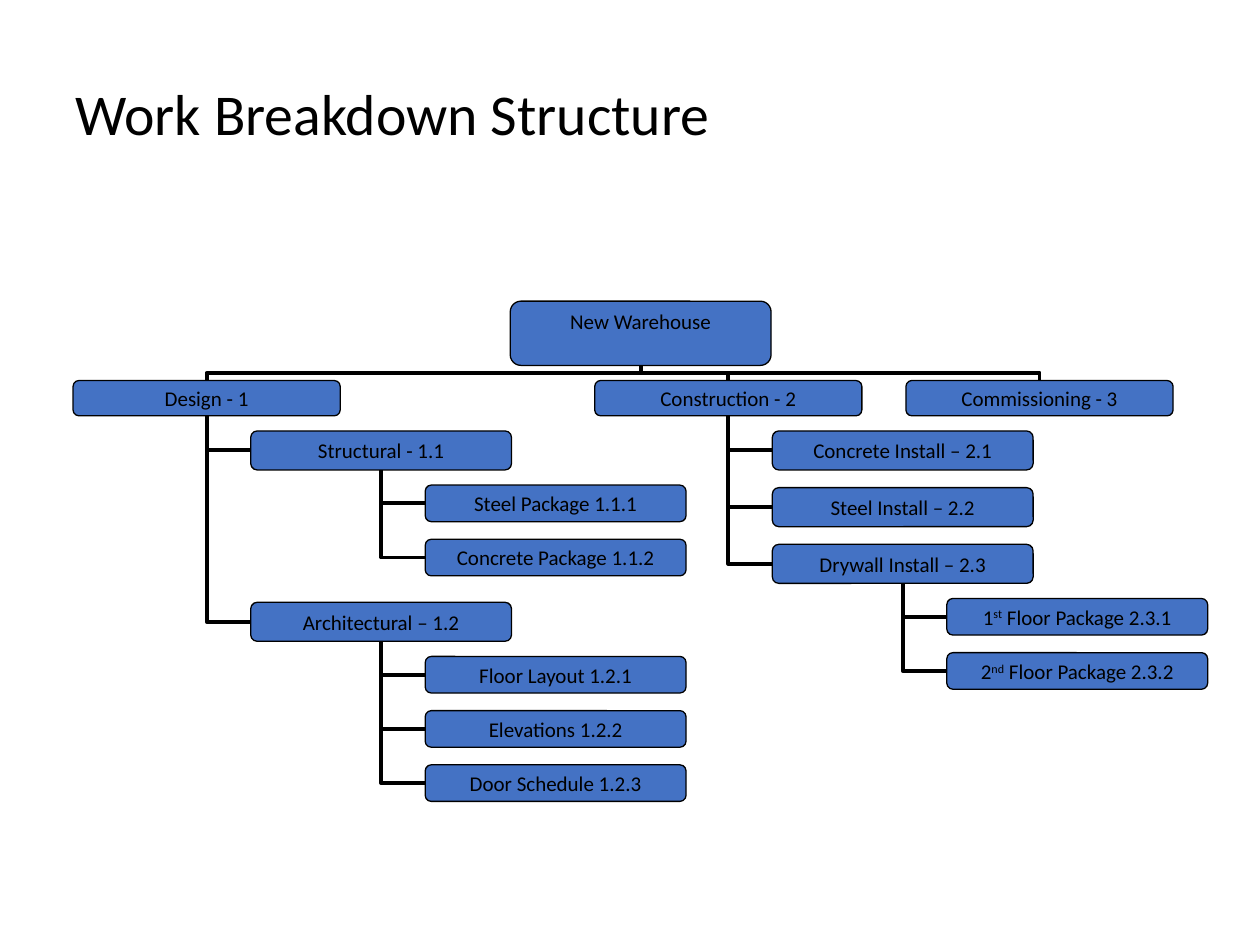
import pptx
import pptx.util
import pptx.dml.color
import pptx.enum.shapes
import pptx.enum.text
import pptx.oxml.ns
import lxml.etree

# Content: (label, branches); ^ marks the bounds of raised text
TITLE = "Work Breakdown Structure"
ROOT = "New Warehouse"
TREE = [
    ("Design - 1", [
        ("Structural - 1.1", [
            ("Steel Package 1.1.1", []),
            ("Concrete Package 1.1.2", [])]),
        ("Architectural – 1.2", [
            ("Floor Layout 1.2.1", []),
            ("Elevations 1.2.2", []),
            ("Door Schedule 1.2.3", [])])]),
    ("Construction - 2", [
        ("Concrete Install – 2.1", []),
        ("Steel Install – 2.2", []),
        ("Drywall Install – 2.3", [
            ("1^st^ Floor Package 2.3.1", []),
            ("2^nd^ Floor Package 2.3.2", [])])]),
    ("Commissioning - 3", []),
]

# Format and grid, in inches
HUES = {"box": "4472C4", "ink": "000000"}
WIDE, HIGH = 10, 7.5
SIZES = [(2.12, 0.28), (2.07, 0.31), (2.07, 0.29)]  # box size by level
COLS = [0.58, 4.72, 7.19]
ROW = 3.02
STEP, DROP, GAP, SPLIT = 0.35, 0.12, 0.14, 0.21
PADS = {"margin_left": 0.05, "margin_right": 0.05,
        "margin_top": 0.03, "margin_bottom": 0.03}

inch = pptx.util.Inches
kinds = pptx.enum.shapes
align = pptx.enum.text

deck = pptx.Presentation()
deck.slide_width, deck.slide_height = inch(WIDE), inch(HIGH)
slide = deck.slides.add_slide(deck.slide_layouts[6])
shapes = slide.shapes


def tint(hue):
    return pptx.dml.color.RGBColor.from_string(HUES[hue])


def apply(item, form):
    for key, val in form.items():
        setattr(item, key, val)


def write(para, text, size):
    for num, part in enumerate(text.split("^")):
        run = para.add_run()
        run.text = part
        apply(run.font, {"size": pptx.util.Pt(size), "name": "Calibri"})
        run.font.color.rgb = tint("ink")
        if num % 2:
            run.font._element.set("baseline", "30000")


def box(text, x, y, w, h, **pads):
    node = shapes.add_shape(kinds.MSO_SHAPE.ROUNDED_RECTANGLE,
                            inch(x), inch(y), inch(w), inch(h))
    node.shadow.inherit = False
    node.fill.solid()
    node.fill.fore_color.rgb = tint("box")
    node.line.color.rgb = tint("ink")
    node.line.width = pptx.util.Pt(0.75)
    frame = node.text_frame
    apply(frame, {"word_wrap": False, "vertical_anchor": align.MSO_ANCHOR.MIDDLE})
    apply(frame, {key: inch(val) for key, val in {**PADS, **pads}.items()})
    frame.paragraphs[0].alignment = align.PP_ALIGN.CENTER
    write(frame.paragraphs[0], text, 12)
    return node


def link(start, site, end):
    """Elbow from a site of one box to the bottom of another, behind all boxes."""
    line = shapes.add_connector(kinds.MSO_CONNECTOR.ELBOW, 0, 0, 0, 0)
    line.begin_connect(start, site)
    line.end_connect(end, 2)
    line.line.color.rgb = tint("ink")
    line.line.width = pptx.util.Pt(2.25)
    props = line._element.spPr
    lxml.etree.SubElement(props, pptx.oxml.ns.qn("a:effectLst"))
    shapes._spTree.insert(2, line._element)
    return line, props


def side(child, node):
    line, props = link(child, 1, node)
    props.find(pptx.oxml.ns.qn("a:prstGeom")).set("prst", "bentConnector2")


def rise(child, node):
    """Quarter-turned elbow from the top of a child to its parent."""
    line, props = link(child, 0, node)
    x, y, w, h = line.left, line.top, line.width, line.height
    right = line.begin_x > line.end_x
    apply(line, {"left": x + (w - h) // 2, "top": y + (h - w) // 2,
                 "width": h, "height": w})
    turn = {"rot": "16200000", "flipH": "0", "flipV": "1"} if right else {
        "rot": "5400000", "flipH": "1", "flipV": "1"}
    for key, val in turn.items():
        props.find(pptx.oxml.ns.qn("a:xfrm")).set(key, val)


def grow(item, level, x, y):
    """Draw a box and its branches; return the box and the next free row."""
    text, kids = item
    w, h = SIZES[level]
    node = box(text, x, y, w, h)
    base = y + h
    if not kids:
        return node, base + GAP
    spot = base + DROP
    for kid in kids:
        child, spot = grow(kid, level + 1, x + w / 2 + STEP, spot)
        side(child, node)
    return node, spot - GAP + SPLIT


# Title
head = shapes.add_textbox(inch(0.5), inch(0.3), inch(9), inch(1.25)).text_frame
apply(head, {"word_wrap": True, "vertical_anchor": align.MSO_ANCHOR.MIDDLE})
head.paragraphs[0].line_spacing = 0.9
write(head.paragraphs[0], TITLE, 33)

# Chart: root, then one branch per column
root = box(ROOT, 4.05, 2.39, 2.07, 0.51, margin_bottom=0.23)
for item, x in zip(TREE, COLS):
    node, _ = grow(item, 0, x, ROW)
    rise(node, root)

deck.save("out.pptx")
